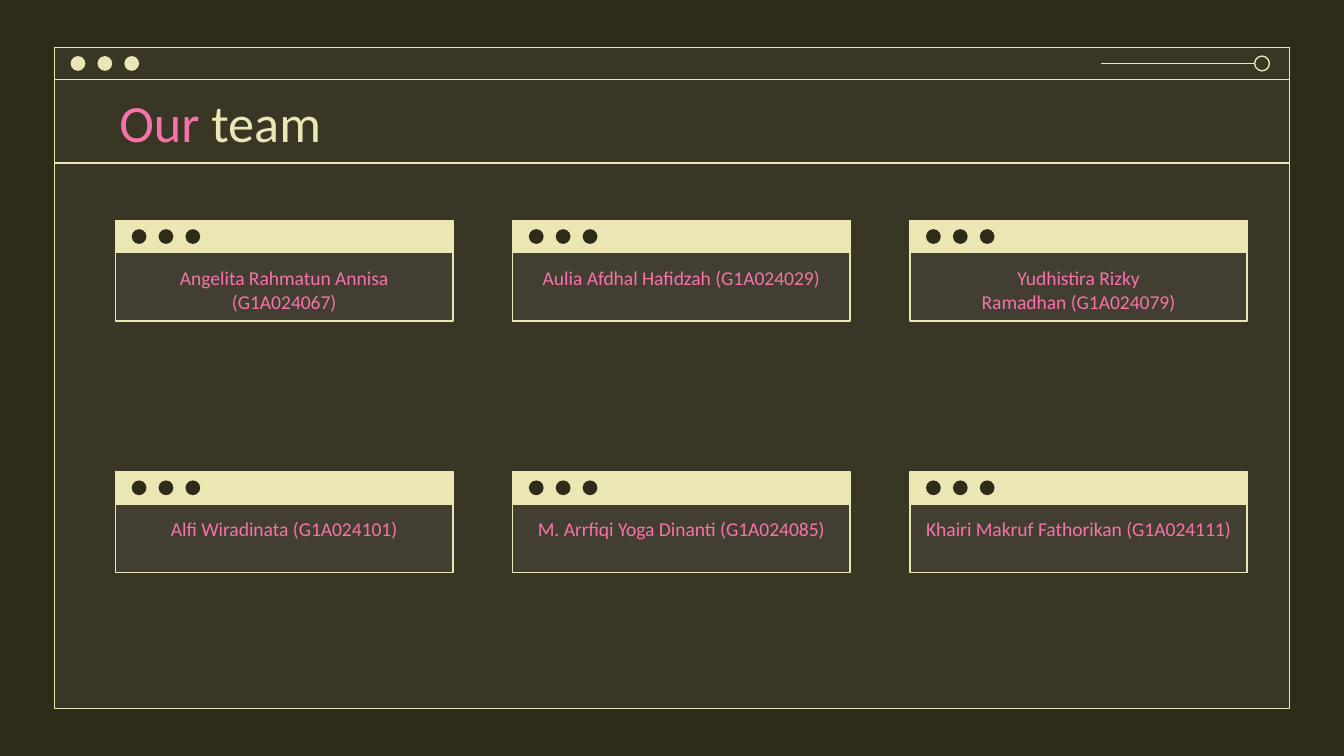
from dataclasses import dataclass

from lxml import etree
from pptx import Presentation
from pptx import util as u
from pptx.dml.color import RGBColor
from pptx.enum import shapes, text
from pptx.oxml import ns


@dataclass(frozen=True)
class Theme:
    background: str = "2F2B19"
    cream: str = "ECE5B4"
    pink: str = "F673A9"
    veil: str = "7C7C7C"
    veil_opacity: int = 14
    font: str = "Calibri"
    title_size: float = 28
    name_size: float = 10.5
    line_width: float = 0.75


THEME = Theme()
RECTANGLE = shapes.MSO_SHAPE.RECTANGLE
OVAL = shapes.MSO_SHAPE.OVAL
HARD_SPACE = chr(160)

# Lengths in inches
SLIDE_WIDTH = 10
SLIDE_HEIGHT = SLIDE_WIDTH * 9 / 16
FRAME_WIDTH, FRAME_HEIGHT = 9.19, 4.92
FRAME_LEFT = (SLIDE_WIDTH - FRAME_WIDTH) / 2
FRAME_TOP = (SLIDE_HEIGHT - FRAME_HEIGHT) / 2
BAR_HEIGHT = 0.24
TITLE_HEIGHT = 0.62
DOT_SIZE, DOT_PITCH, DOT_INDENT = 0.11, 0.2, 0.12
GRID_LEFT, GRID_TOP = 0.86, 1.64
LAST_COLUMN_LEFT, LAST_ROW_TOP = 6.77, 3.51
CARD_WIDTH, CARD_HEIGHT = 2.51, 0.75

TEAM = [
    ["Angelita Rahmatun Annisa (G1A024067)",
     "Aulia Afdhal Hafidzah (G1A024029)",
     f"Yudhistira Rizky Ramadhan{HARD_SPACE}(G1A024079)"],
    ["Alfi Wiradinata (G1A024101)",
     "M. Arrfiqi Yoga Dinanti (G1A024085)",
     "Khairi Makruf Fathorikan (G1A024111)"],
]
COLUMN_PITCH = (LAST_COLUMN_LEFT - GRID_LEFT) / (len(TEAM[0]) - 1)
ROW_PITCH = (LAST_ROW_TOP - GRID_TOP) / (len(TEAM) - 1)


def color(value):
    return RGBColor.from_string(value)


def add_box(slide, kind, left, top, width, height, fill=None, line=None, opacity=100):
    """Add a preset shape; without a fill or line colour that part is clear."""
    shape = slide.shapes.add_shape(
        kind, u.Inches(left), u.Inches(top), u.Inches(width), u.Inches(height))
    shape.shadow.inherit = False
    if fill:
        shape.fill.solid()
        shape.fill.fore_color.rgb = color(fill)
        if opacity < 100:
            tint = shape.fill._xPr.find(".//" + ns.qn("a:srgbClr"))
            etree.SubElement(tint, ns.qn("a:alpha"), val=str(opacity * 1000))
    else:
        shape.fill.background()
    if line:
        shape.line.color.rgb = color(line)
        shape.line.width = u.Pt(THEME.line_width)
    else:
        shape.line.fill.background()
    return shape


def add_rule(slide, left, right, y):
    rule = slide.shapes.add_connector(
        shapes.MSO_CONNECTOR.STRAIGHT,
        u.Inches(left), u.Inches(y), u.Inches(right), u.Inches(y))
    rule.line.color.rgb = color(THEME.cream)
    rule.line.width = u.Pt(THEME.line_width)
    etree.SubElement(rule._element.spPr, ns.qn("a:effectLst"))


def add_dots(slide, bar_left, bar_top, fill):
    """Add the three window buttons, centred in the height of a bar."""
    top = bar_top + (BAR_HEIGHT - DOT_SIZE) / 2
    for index in range(3):
        left = bar_left + DOT_INDENT + index * DOT_PITCH
        add_box(slide, OVAL, left, top, DOT_SIZE, DOT_SIZE, fill=fill)


def write(shape, runs, size, alignment, anchor):
    """Fill a shape with one paragraph of (wording, colour) runs."""
    frame = shape.text_frame
    frame.word_wrap = True
    frame.vertical_anchor = anchor
    frame.margin_left = frame.margin_right = u.Inches(0.1)
    frame.margin_top = frame.margin_bottom = u.Inches(0.1)
    paragraph = frame.paragraphs[0]
    paragraph.alignment = alignment
    for wording, run_color in runs:
        run = paragraph.add_run()
        run.text = wording
        run.font.name = THEME.font
        run.font.size = u.Pt(size)
        run.font.color.rgb = color(run_color)
    return paragraph


def add_window(slide):
    """Add the large browser window with its bar, slider and title rule."""
    frame = (FRAME_LEFT, FRAME_TOP, FRAME_WIDTH)
    add_box(slide, RECTANGLE, *frame, FRAME_HEIGHT,
            fill=THEME.veil, opacity=THEME.veil_opacity)
    for height in (FRAME_HEIGHT, BAR_HEIGHT):
        add_box(slide, RECTANGLE, *frame, height, line=THEME.cream)
    add_dots(slide, FRAME_LEFT, FRAME_TOP, THEME.cream)

    right = FRAME_LEFT + FRAME_WIDTH
    middle = FRAME_TOP + BAR_HEIGHT / 2
    knob_left = right - 0.26
    add_box(slide, OVAL, knob_left, middle - DOT_SIZE / 2, DOT_SIZE, DOT_SIZE,
            line=THEME.cream)
    add_rule(slide, knob_left - 1.14, knob_left, middle)
    add_rule(slide, FRAME_LEFT, right, FRAME_TOP + BAR_HEIGHT + TITLE_HEIGHT)


def add_title(slide):
    box = slide.shapes.add_textbox(
        u.Inches(0.79), u.Inches(FRAME_TOP + BAR_HEIGHT),
        u.Inches(8.43), u.Inches(TITLE_HEIGHT))
    write(box, [("Our", THEME.pink), (" team", THEME.cream)], THEME.title_size,
          text.PP_ALIGN.LEFT, text.MSO_ANCHOR.MIDDLE)


def add_card(slide, column, row, name):
    left = GRID_LEFT + column * COLUMN_PITCH
    top = GRID_TOP + row * ROW_PITCH
    add_box(slide, RECTANGLE, left, top, CARD_WIDTH, CARD_HEIGHT,
            fill=THEME.veil, opacity=THEME.veil_opacity)
    body = add_box(slide, RECTANGLE, left, top + BAR_HEIGHT,
                   CARD_WIDTH, CARD_HEIGHT - BAR_HEIGHT, line=THEME.cream)
    paragraph = write(body, [(name, THEME.pink)], THEME.name_size,
                      text.PP_ALIGN.CENTER, text.MSO_ANCHOR.TOP)
    paragraph.space_after = u.Pt(16)
    add_box(slide, RECTANGLE, left, top, CARD_WIDTH, BAR_HEIGHT,
            fill=THEME.cream, line=THEME.cream)
    add_dots(slide, left, top, THEME.background)


def main():
    presentation = Presentation()
    presentation.slide_width = u.Inches(SLIDE_WIDTH)
    presentation.slide_height = u.Inches(SLIDE_HEIGHT)
    slide = presentation.slides.add_slide(presentation.slide_layouts[6])
    slide.background.fill.solid()
    slide.background.fill.fore_color.rgb = color(THEME.background)

    add_window(slide)
    add_title(slide)
    for row, names in enumerate(TEAM):
        for column, name in enumerate(names):
            add_card(slide, column, row, name)

    presentation.save("out.pptx")


if __name__ == "__main__":
    main()
